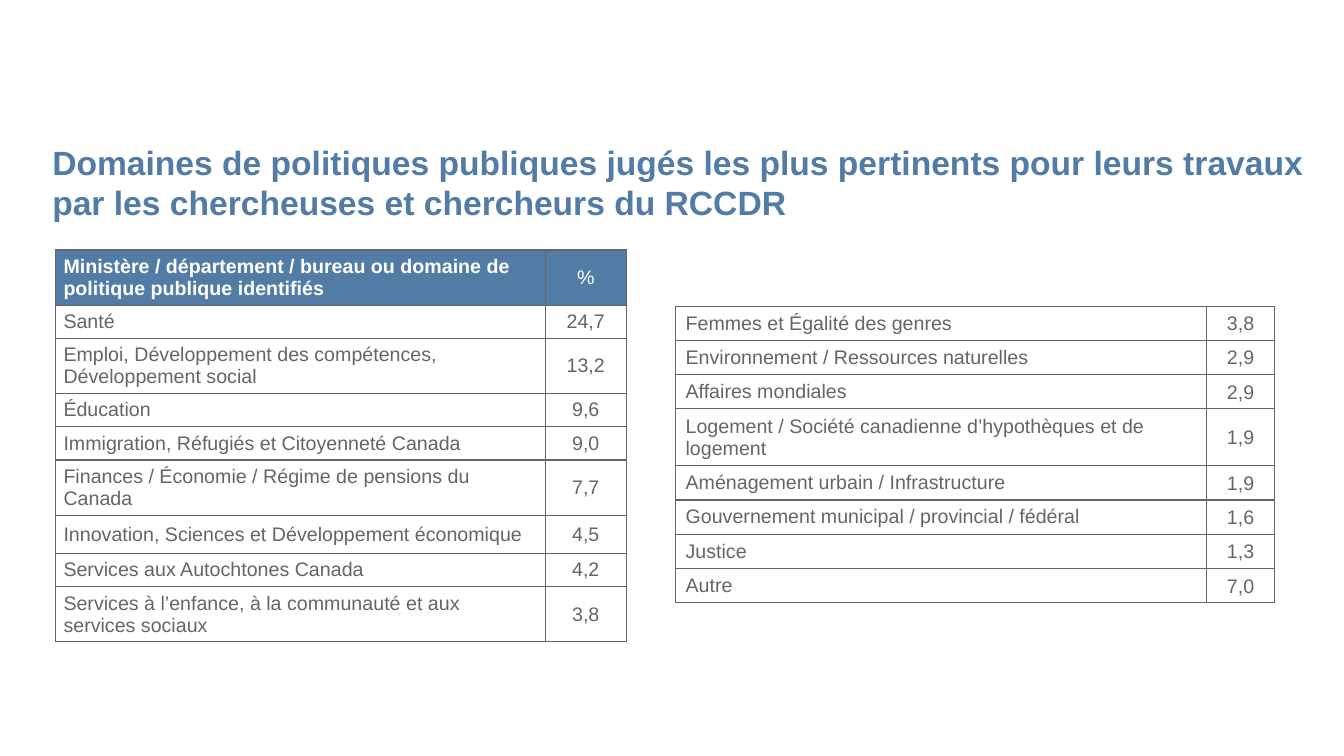
from dataclasses import dataclass

from lxml.etree import SubElement
from pptx import Presentation
from pptx.dml.color import RGBColor
from pptx.enum.text import MSO_ANCHOR as Anchor, MSO_AUTO_SIZE as Auto, PP_ALIGN as Align
from pptx.oxml.ns import qn
from pptx.util import Pt

PX = 9144  # 100 px to the inch
BLUE = RGBColor(0x52, 0x7C, 0xA6)
GREY = RGBColor(0x63, 0x65, 0x6A)
WHITE = RGBColor(0xFF, 0xFF, 0xFF)
FONT = "Arial"


@dataclass
class Grid:
    left: int
    top: int
    height: int
    cols: tuple[int, int]
    rows: list[int]
    pads: tuple[tuple[int, int], tuple[int, int]]  # side and top margin per column
    lead: float | None  # line spacing of the figures
    head: bool
    cells: list[tuple[str, str]]


def style(para, size: int, color: RGBColor, bold: bool) -> None:
    font = para.font
    font.name, font.size, font.bold = FONT, Pt(size), bold
    font.color.rgb = color


def border(cell) -> None:
    props = cell._tc.get_or_add_tcPr()
    for spot, side in enumerate(("lnL", "lnR", "lnT", "lnB")):
        line = SubElement(props, qn("a:" + side), w=str(Pt(1)))
        fill = SubElement(line, qn("a:solidFill"))
        SubElement(fill, qn("a:srgbClr"), val=str(GREY))
        props.insert(spot, line)


def fill_cell(cell, text: str, col: int, head: bool, grid: Grid) -> None:
    side, top = grid.pads[col]
    cell.margin_left = cell.margin_right = side * PX
    cell.margin_top = cell.margin_bottom = top * PX
    cell.vertical_anchor = Anchor.MIDDLE
    if head:
        cell.fill.solid()
        cell.fill.fore_color.rgb = BLUE
    else:
        cell.fill.background()
    border(cell)
    cell.text = text
    para = cell.text_frame.paragraphs[0]
    if col == 1:
        para.alignment = Align.CENTER
        if grid.lead:
            para.line_spacing = grid.lead
    style(para, 14, WHITE if head else GREY, head and col == 0)


def draw_grid(slide, grid: Grid) -> None:
    frame = slide.shapes.add_table(
        len(grid.rows), 2, grid.left * PX, grid.top * PX,
        sum(grid.cols) * PX, grid.height * PX)
    table = frame.table
    table.first_row = table.horz_banding = False
    for col, width in zip(table.columns, grid.cols):
        col.width = width * PX
    for num, (row, tall) in enumerate(zip(table.rows, grid.rows)):
        row.height = tall * PX
        for col, text in enumerate(grid.cells[num]):
            fill_cell(row.cells[col], text, col, grid.head and num == 0, grid)
    frame.height = grid.height * PX


def draw_title(slide, text: str) -> None:
    box = slide.shapes.add_textbox(42 * PX, 136 * PX, 1292 * PX, 91 * PX)
    frame = box.text_frame
    frame.word_wrap = True
    frame.auto_size = Auto.SHAPE_TO_FIT_TEXT
    frame.text = text
    para = frame.paragraphs[0]
    para.space_after = Pt(6)
    style(para, 24, BLUE, True)


# Top policy areas, with a header row
MAIN = Grid(55, 248, 367, (486, 80), [33] * 6 + [38] + [33] * 2, ((8, 4), (8, 4)), None, True, [
    ("Ministère / département / bureau ou domaine de politique publique identifiés", "%"),
    ("Santé", "24,7"),
    ("Emploi, Développement des compétences, Développement social", "13,2"),
    ("Éducation", "9,6"),
    ("Immigration, Réfugiés et Citoyenneté Canada", "9,0"),
    ("Finances / Économie / Régime de pensions du Canada", "7,7"),
    ("Innovation, Sciences et Développement économique", "4,5"),
    ("Services aux Autochtones Canada", "4,2"),
    ("Services à l’enfance, à la communauté et aux services sociaux", "3,8"),
])

# Remaining areas
REST = Grid(670, 304, 294, (527, 67), [32] + [34] * 7, ((10, 5), (7, 0)), 1.07, False, [
    ("Femmes et Égalité des genres", "3,8"),
    ("Environnement / Ressources naturelles", "2,9"),
    ("Affaires mondiales", "2,9"),
    ("Logement / Société canadienne d’hypothèques et de logement", "1,9"),
    ("Aménagement urbain / Infrastructure", "1,9"),
    ("Gouvernement municipal / provincial / fédéral", "1,6"),
    ("Justice", "1,3"),
    ("Autre", "7,0"),
])


def main() -> None:
    deck = Presentation()
    deck.slide_width, deck.slide_height = 1333 * PX, 750 * PX
    slide = deck.slides.add_slide(deck.slide_layouts[6])
    draw_title(slide, "Domaines de politiques publiques jugés les plus pertinents pour "
                      "leurs travaux par les chercheuses et chercheurs du RCCDR")
    for grid in (MAIN, REST):
        draw_grid(slide, grid)
    deck.save("out.pptx")


if __name__ == "__main__":
    main()
